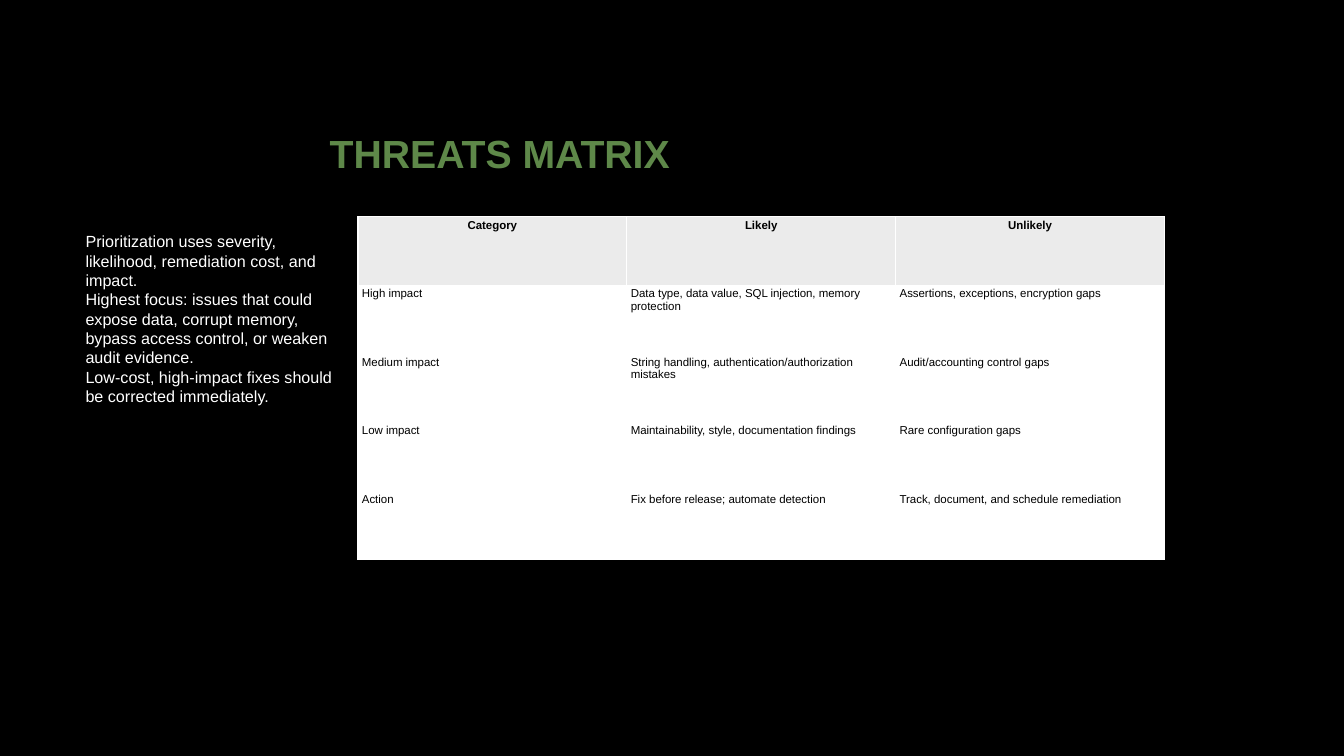
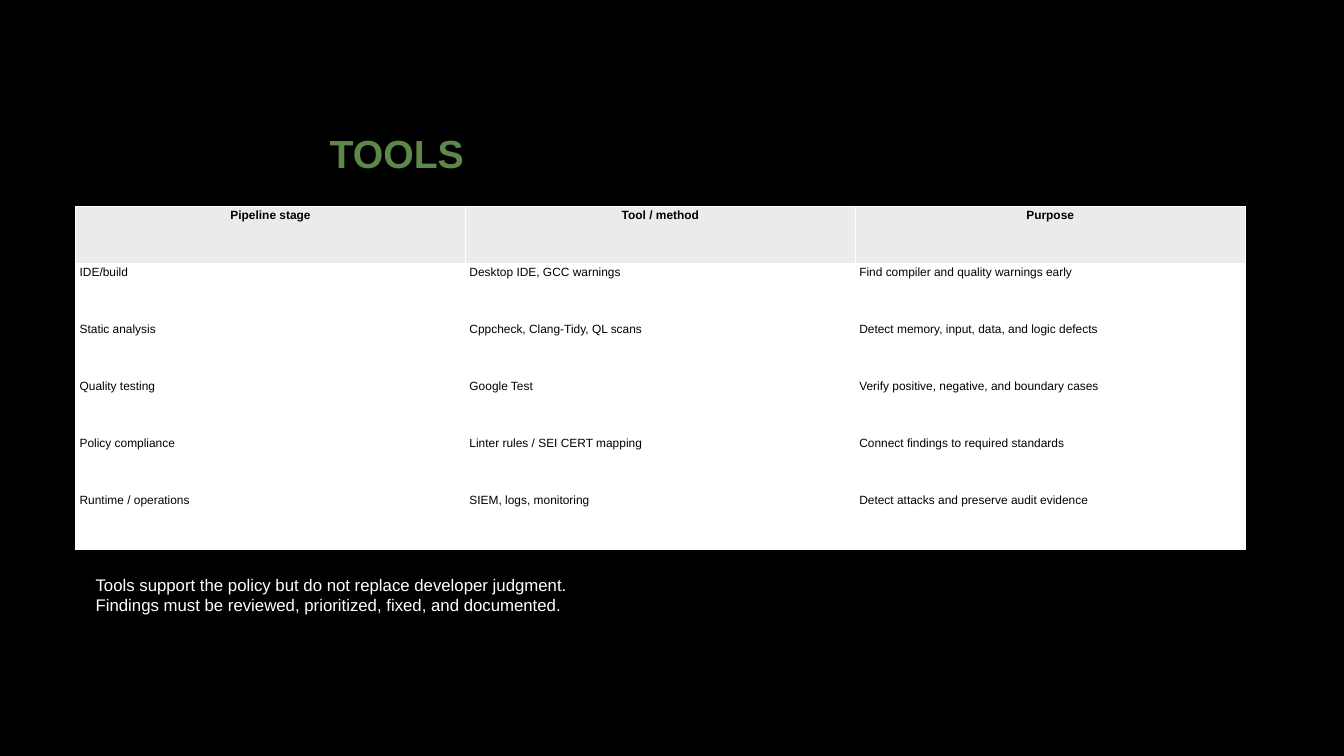
from dataclasses import dataclass

from pptx import Presentation, util as u
from pptx.dml.color import RGBColor
from pptx.enum import text


@dataclass(frozen=True)
class Theme:
    font: str = "Arial"
    back: str = "000000"
    title: str = "5E8849"
    note: str = "FFFFFF"
    ink: str = "000000"
    header: str = "EBEBEB"
    body: str = "FFFFFF"
    title_size: float = 28
    title_box: tuple = (3.17, 0.84, 9.42, 1.41)
    cell_margins: tuple = (0.04, 0.02)


THEME = Theme()
SLIDE_SIZE = (13.33, 7.5)

SLIDES = [
    {
        "title": "THREATS MATRIX",
        "notes": [
            "Prioritization uses severity, likelihood, remediation cost, and impact.",
            "Highest focus: issues that could expose data, corrupt memory, bypass access control, or weaken audit evidence.",
            "Low-cost, high-impact fixes should be corrected immediately.",
        ],
        "notes_box": (0.75, 2.25, 2.7, 3.6),
        "notes_size": 11.5,
        "table": [
            ("Category", "Likely", "Unlikely"),
            ("High impact", "Data type, data value, SQL injection, memory protection",
             "Assertions, exceptions, encryption gaps"),
            ("Medium impact", "String handling, authentication/authorization mistakes",
             "Audit/accounting control gaps"),
            ("Low impact", "Maintainability, style, documentation findings",
             "Rare configuration gaps"),
            ("Action", "Fix before release; automate detection",
             "Track, document, and schedule remediation"),
        ],
        "table_box": (3.55, 2.15, 8, 3.4),
        "table_size": 8.2,
    },
    {
        "title": "TOOLS",
        "notes": [
            "Tools support the policy but do not replace developer judgment.",
            "Findings must be reviewed, prioritized, fixed, and documented.",
        ],
        "notes_box": (0.85, 5.65, 10.8, 0.9),
        "notes_size": 12,
        "table": [
            ("Pipeline stage", "Tool / method", "Purpose"),
            ("IDE/build", "Desktop IDE, GCC warnings",
             "Find compiler and quality warnings early"),
            ("Static analysis", "Cppcheck, Clang-Tidy, QL scans",
             "Detect memory, input, data, and logic defects"),
            ("Quality testing", "Google Test",
             "Verify positive, negative, and boundary cases"),
            ("Policy compliance", "Linter rules / SEI CERT mapping",
             "Connect findings to required standards"),
            ("Runtime / operations", "SIEM, logs, monitoring",
             "Detect attacks and preserve audit evidence"),
        ],
        "table_box": (0.75, 2.05, 11.6, 3.4),
        "table_size": 8.5,
    },
]


def inches(values):
    return [u.Inches(v) for v in values]


def paint(fill, color):
    fill.solid()
    fill.fore_color.rgb = RGBColor.from_string(color)


def style(p, size, color, bold=False, align=text.PP_ALIGN.LEFT):
    p.alignment = align
    p.font.name = THEME.font
    p.font.size = u.Pt(size)
    p.font.bold = bold
    p.font.color.rgb = RGBColor.from_string(color)


def add_title(s, title):
    sp = s.shapes.title
    sp.left, sp.top, sp.width, sp.height = inches(THEME.title_box)
    tf = sp.text_frame
    tf.text = title
    tf.auto_size = text.MSO_AUTO_SIZE.NONE
    tf.vertical_anchor = text.MSO_ANCHOR.MIDDLE
    p = tf.paragraphs[0]
    p.line_spacing = 0.9
    style(p, THEME.title_size, THEME.title, bold=True)


def add_notes(s, lines, box, size):
    tf = s.shapes.add_textbox(*inches(box)).text_frame
    tf.word_wrap = True
    tf.text = "\n".join(lines)
    for p in tf.paragraphs:
        style(p, size, THEME.note)


def add_table(s, rows, box, size):
    table = s.shapes.add_table(len(rows), len(rows[0]), *inches(box)).table
    table.horz_banding = False
    side, edge = inches(THEME.cell_margins)
    for i, row in enumerate(rows):
        head = i == 0
        align = text.PP_ALIGN.CENTER if head else text.PP_ALIGN.LEFT
        for j, value in enumerate(row):
            cell = table.cell(i, j)
            cell.text = value
            cell.margin_left = cell.margin_right = side
            cell.margin_top = cell.margin_bottom = edge
            paint(cell.fill, THEME.header if head else THEME.body)
            style(cell.text_frame.paragraphs[0], size, THEME.ink, head, align)


def main():
    prs = Presentation()
    prs.slide_width, prs.slide_height = inches(SLIDE_SIZE)
    paint(prs.slide_master.background.fill, THEME.back)
    layout = prs.slide_layouts.get_by_name("Title Only")
    for content in SLIDES:
        s = prs.slides.add_slide(layout)
        add_title(s, content["title"])
        add_notes(s, content["notes"], content["notes_box"], content["notes_size"])
        add_table(s, content["table"], content["table_box"], content["table_size"])
    prs.save("out.pptx")


if __name__ == "__main__":
    main()
